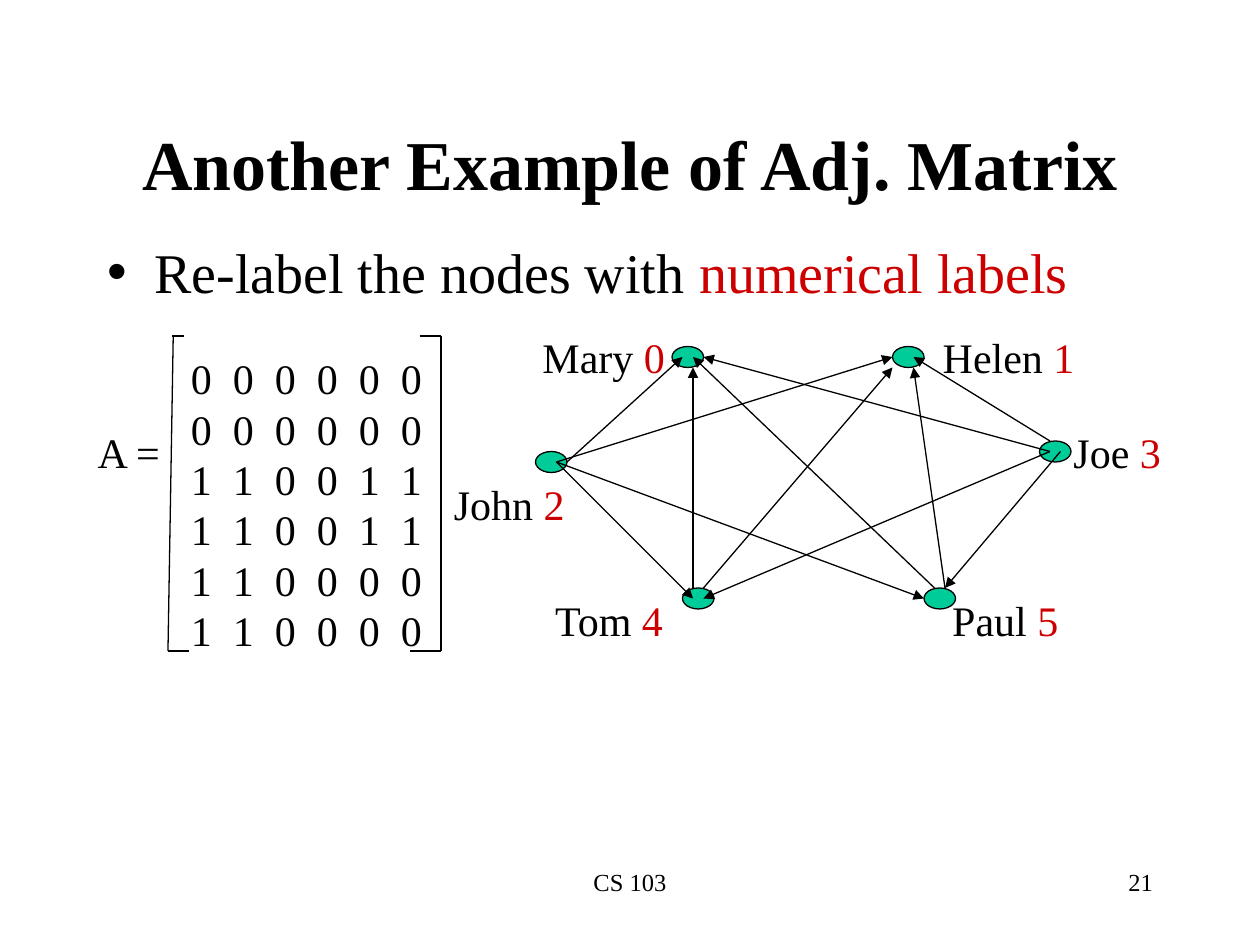
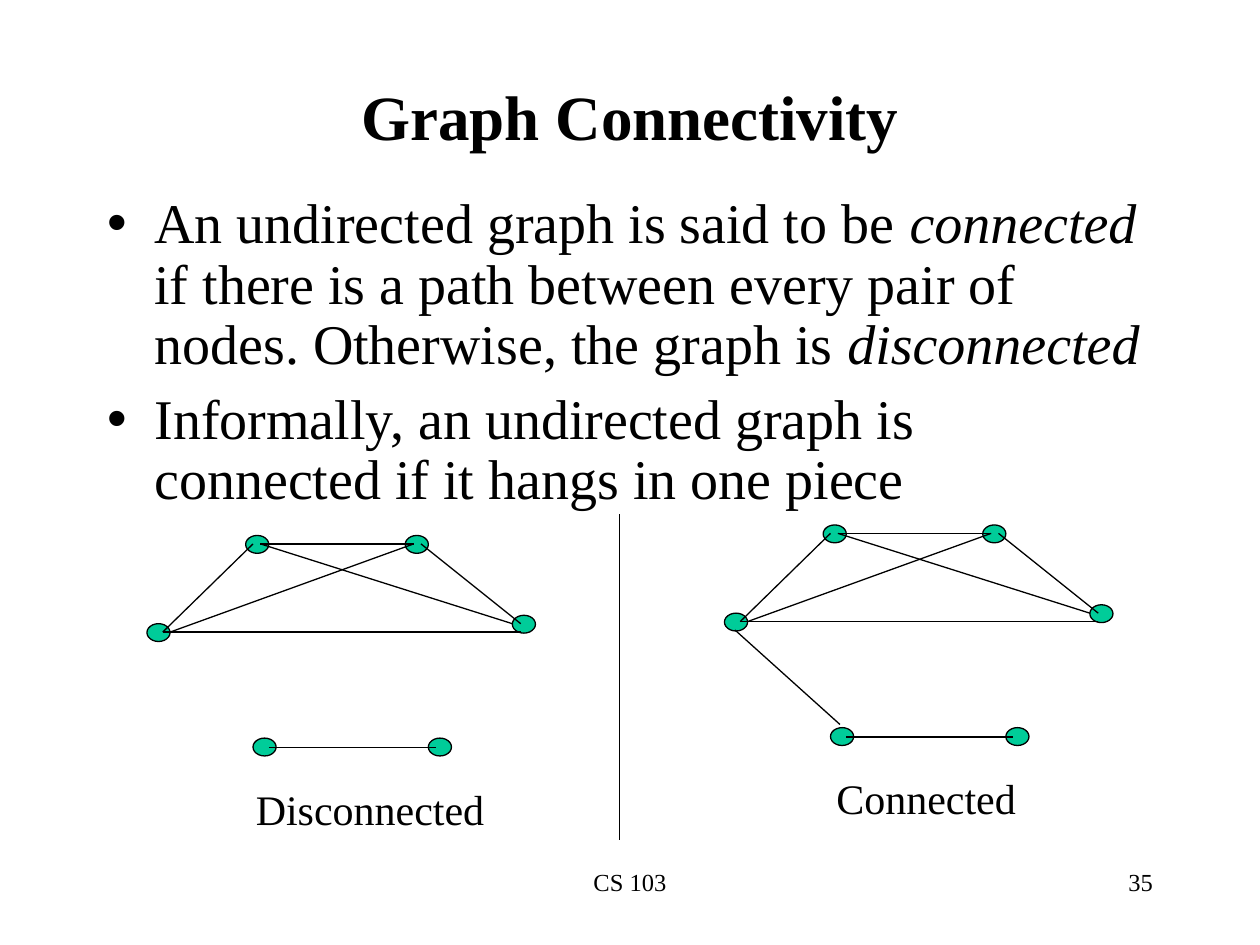
"""Builds two slides on adjacency matrices and graph connectivity."""
from lxml.etree import SubElement
from pptx import Presentation
from pptx.dml.color import RGBColor
from pptx.enum.shapes import MSO_CONNECTOR, MSO_SHAPE
from pptx.enum.text import MSO_ANCHOR, MSO_AUTO_SIZE, PP_ALIGN
from pptx.oxml.ns import qn
from pptx.util import Pt

PX = 7620
FONT = "Times New Roman"
BLACK = RGBColor(0x00, 0x00, 0x00)
RED = RGBColor(0xCC, 0x00, 0x00)
GREEN = RGBColor(0x00, 0xCC, 0x99)
PLAIN, ACCENT, ITALIC = {}, {"color": RED}, {"italic": True}

COURSE = "CS 103"
COURSE_BOX = (410, 820, 380, 60)
NUMBER_BOX = (860, 820, 250, 60)

MATRIX_SLIDE = {
    "title": "Another Example of Adj. Matrix", "title_box": (90, 80, 1020, 150),
    "title_size": 40, "number": "21", "body_box": (90, 220, 1020, 540), "spacing": 1.0,
    "points": [[("Re-label the nodes with ", PLAIN), ("numerical labels", ACCENT)]],
}
CONNECTIVITY_SLIDE = {
    "title": "Graph Connectivity", "title_box": (90, 60, 1020, 100),
    "title_size": 36, "number": "35", "body_box": (90, 180, 1020, 620), "spacing": 0.9,
    "points": [
        [("An undirected graph is said to be ", PLAIN), ("connected", ITALIC),
         (" if there is a path between every pair of nodes. Otherwise, the graph is ", PLAIN),
         ("disconnected", ITALIC)],
        [("Informally, an undirected graph is connected if it hangs in one piece", PLAIN)],
    ],
}

PEOPLE_NODE = (30, 20)
PEOPLE = [
    ("Mary", "0", (640, 330), (503, 310, 144, 60)),
    ("Helen", "1", (850, 330), (884, 310, 153, 60)),
    ("John", "2", (510, 430), (450, 450, 130, 60)),
    ("Joe", "3", (990, 420), (1010, 400, 108, 60)),
    ("Tom", "4", (650, 560), (515, 560, 130, 60)),
    ("Paul", "5", (880, 560), (895, 560, 125, 60)),
]
PEOPLE[2] = ("John", "2", (510, 430), (420, 450, 130, 60))
PEOPLE_EDGES = [
    (540, 440, 650, 340), (530, 440, 850, 340), (530, 440, 660, 570), (530, 440, 880, 570),
    (1000, 420, 870, 340), (1000, 430, 670, 340), (1000, 430, 670, 570), (1010, 430, 900, 560),
    (660, 560, 660, 350), (670, 560, 850, 350), (900, 560, 870, 350), (890, 560, 660, 340),
]
MATRIX = ["000000", "000000", "110011", "110011", "110000", "110000"]
MATRIX_BOX, COLUMN_PITCH = (170, 330, 250, 300), 40
MATRIX_NAME, MATRIX_NAME_BOX = "A =", (80, 400, 85, 60)
BRACKETS = [
    (175, 320, 164, 320), (165, 320, 160, 620), (160, 620, 180, 620),
    (400, 320, 420, 320), (420, 320, 420, 620), (420, 620, 390, 620),
]

PIECE_NODE = (22, 17)
PIECE_NODES = [(140, 594), (234, 510), (241, 703), (408, 703), (488, 586), (386, 510)]
PIECE_EDGES = [
    (248, 518, 394, 518), (155, 602, 496, 602), (155, 602, 241, 518), (401, 518, 496, 594),
    (256, 712, 415, 712), (162, 602, 394, 518), (248, 518, 488, 594),
]
PIECES = [
    ("Disconnected", (230, 740, 245, 60), (0, 0)),
    ("Connected", (783, 730, 198, 60), (550, -10)),
]
BRIDGE = (800, 690, 700, 600)
DIVIDER = (590, 490, 590, 800)


def emu(lengths):
    return [length * PX for length in lengths]


def style(run, size, color=BLACK, bold=False, italic=False):
    font = run.font
    font.name, font.size, font.bold, font.italic = FONT, Pt(size), bold, italic
    font.color.rgb = color


def write(paragraph, parts, size, align=PP_ALIGN.CENTER):
    paragraph.alignment = align
    for words, look in parts:
        run = paragraph.add_run()
        run.text = words
        style(run, size, **look)


def add_label(slide, box, parts, size=24, align=PP_ALIGN.CENTER, wrap=False):
    frame = slide.shapes.add_textbox(*emu(box)).text_frame
    frame.word_wrap = wrap
    frame.auto_size = MSO_AUTO_SIZE.NONE if wrap else MSO_AUTO_SIZE.SHAPE_TO_FIT_TEXT
    write(frame.paragraphs[0], parts, size, align)


def place(placeholder, box, anchor):
    placeholder.left, placeholder.top, placeholder.width, placeholder.height = emu(box)
    frame = placeholder.text_frame
    frame.auto_size, frame.vertical_anchor = MSO_AUTO_SIZE.NONE, anchor
    return frame


def add_node(slide, corner, size):
    node = slide.shapes.add_shape(MSO_SHAPE.OVAL, *emu(corner + size))
    node.shadow.inherit = False
    node.fill.solid()
    node.fill.fore_color.rgb = GREEN
    node.line.color.rgb, node.line.width = BLACK, Pt(0.75)


def add_edge(slide, ends, arrow=False):
    edge = slide.shapes.add_connector(MSO_CONNECTOR.STRAIGHT, *emu(ends))
    edge.line.color.rgb, edge.line.width = BLACK, Pt(0.75)
    if arrow:
        SubElement(edge.line._get_or_add_ln(), qn("a:tailEnd"), type="triangle")
    SubElement(edge._element.spPr, qn("a:effectLst"))


def add_slide(deck, content):
    slide = deck.slides.add_slide(deck.slide_layouts[1])
    title, body = slide.placeholders
    heading = place(title, content["title_box"], MSO_ANCHOR.MIDDLE).paragraphs[0]
    write(heading, [(content["title"], {"bold": True})], content["title_size"])
    points = place(body, content["body_box"], MSO_ANCHOR.TOP)
    for i, parts in enumerate(content["points"]):
        point = points.add_paragraph() if i else points.paragraphs[0]
        write(point, parts, 32, PP_ALIGN.LEFT)
        point.space_before, point.line_spacing = Pt(8), content["spacing"]
    add_label(slide, COURSE_BOX, [(COURSE, PLAIN)], 14, wrap=True)
    add_label(slide, NUMBER_BOX, [(content["number"], PLAIN)], 14, PP_ALIGN.RIGHT, True)
    return slide


def add_matrix(slide):
    frame = slide.shapes.add_textbox(*emu(MATRIX_BOX)).text_frame
    frame.word_wrap = True
    for i, digits in enumerate(MATRIX):
        row = frame.add_paragraph() if i else frame.paragraphs[0]
        write(row, [("\t".join(digits), PLAIN)], 24, PP_ALIGN.LEFT)
        stops = SubElement(row._p.get_or_add_pPr(), qn("a:tabLst"))
        for column in range(1, len(digits)):
            SubElement(stops, qn("a:tab"), pos=str(column * COLUMN_PITCH * PX), algn="l")
    for ends in BRACKETS:
        add_edge(slide, ends)
    add_label(slide, MATRIX_NAME_BOX, [(MATRIX_NAME, PLAIN)])


def build_matrix_slide(deck):
    slide = add_slide(deck, MATRIX_SLIDE)
    for name, number, corner, label_box in PEOPLE:
        add_node(slide, corner, PEOPLE_NODE)
        add_label(slide, label_box, [(name + " ", PLAIN), (number, ACCENT)])
    for ends in PEOPLE_EDGES:
        add_edge(slide, ends, arrow=True)
    add_matrix(slide)


def build_connectivity_slide(deck):
    slide = add_slide(deck, CONNECTIVITY_SLIDE)
    for caption, caption_box, (dx, dy) in PIECES:
        for x, y in PIECE_NODES:
            add_node(slide, (x + dx, y + dy), PIECE_NODE)
        for x1, y1, x2, y2 in PIECE_EDGES:
            add_edge(slide, (x1 + dx, y1 + dy, x2 + dx, y2 + dy))
        add_label(slide, caption_box, [(caption, PLAIN)])
    add_edge(slide, BRIDGE)
    add_edge(slide, DIVIDER)


def main():
    deck = Presentation()
    deck.slide_width, deck.slide_height = emu((1200, 900))
    build_matrix_slide(deck)
    build_connectivity_slide(deck)
    deck.save("out.pptx")


if __name__ == "__main__":
    main()
